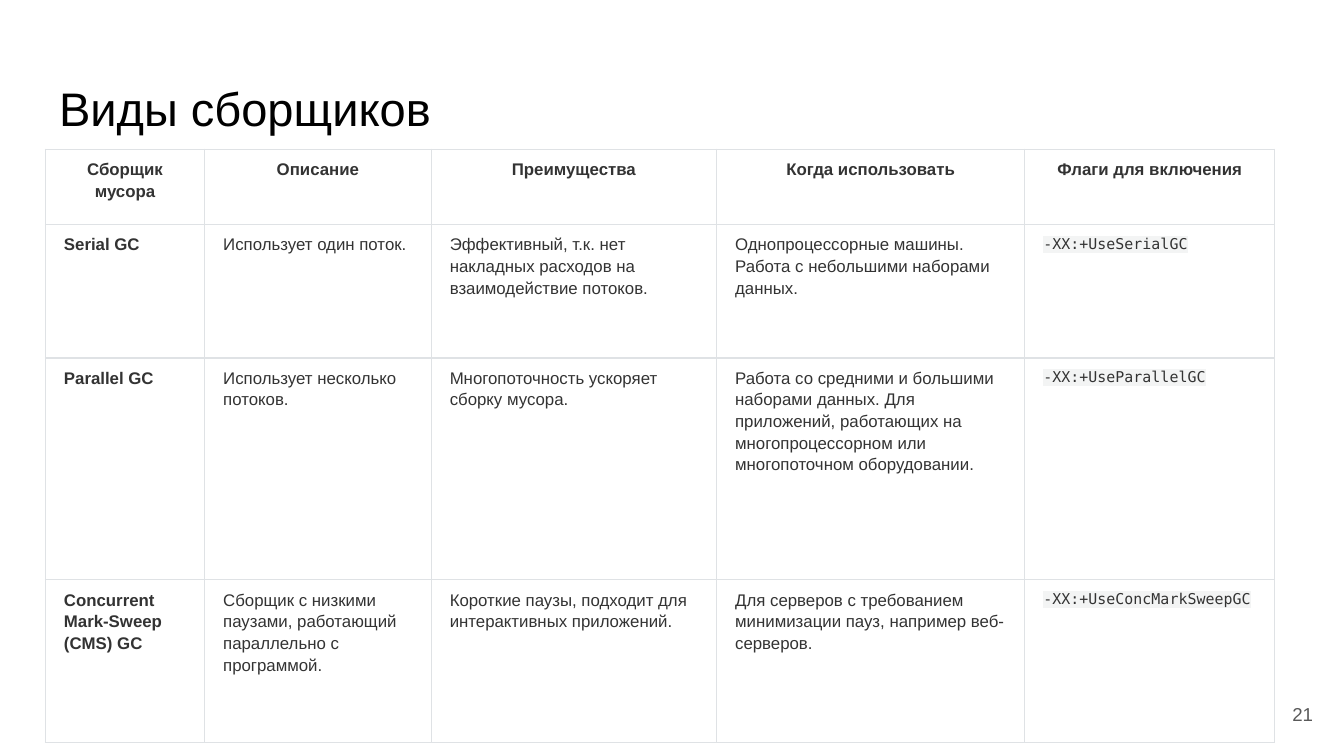
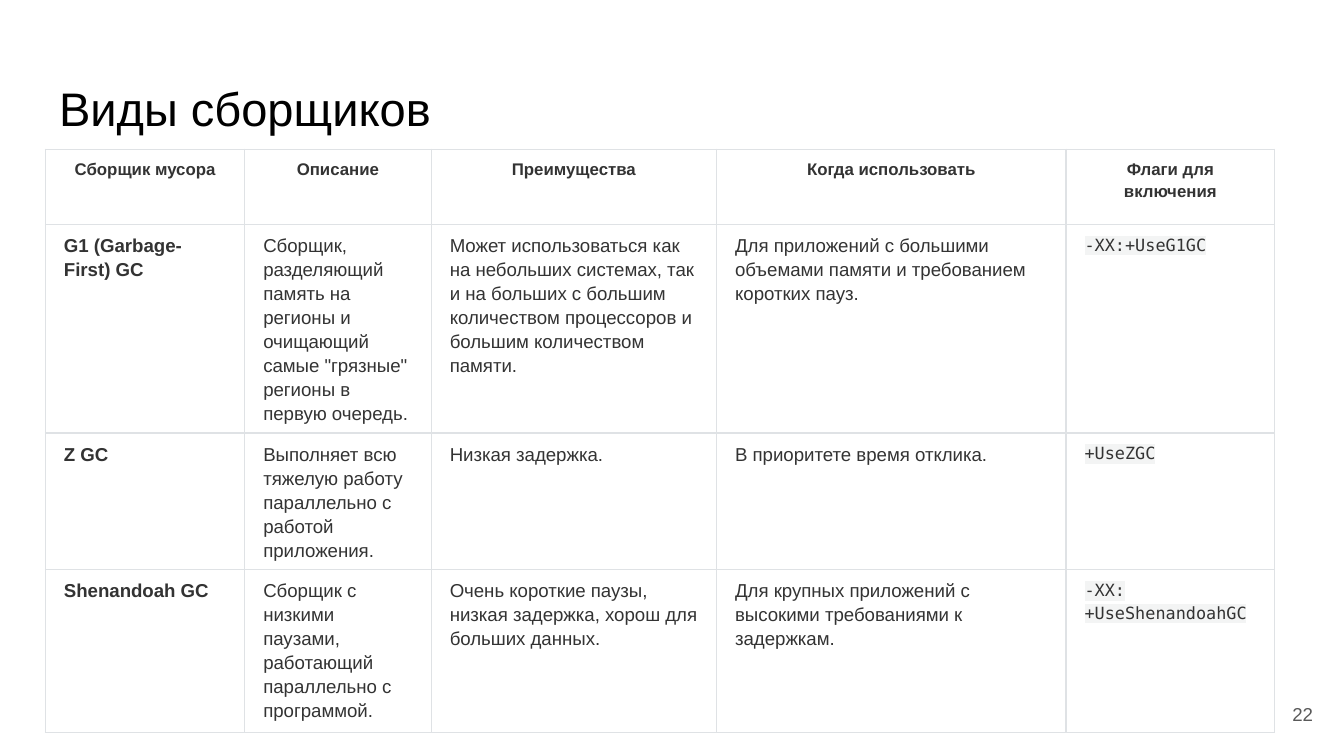
from lxml.etree import SubElement
from pptx import Presentation
from pptx.dml.color import RGBColor
from pptx.enum.text import MSO_ANCHOR, MSO_AUTO_SIZE, PP_ALIGN
from pptx.oxml import parse_xml
from pptx.oxml.ns import nsdecls, qn
from pptx.util import Pt

BLACK = RGBColor(0x00, 0x00, 0x00)
WHITE = RGBColor(0xFF, 0xFF, 0xFF)
TEXT_GRAY = RGBColor(0x33, 0x33, 0x33)
NUMBER_GRAY = RGBColor(0x59, 0x59, 0x59)
BORDER_GRAY = RGBColor(0xDF, 0xE2, 0xE5)
CODE_GRAY = RGBColor(0xF3, 0xF4, 0xF4)
TEXT_FONT = "Arial"
CODE_FONT = "DejaVu Sans Mono"

TITLE = "Виды сборщиков"
HEADER = ["Сборщик мусора", "Описание", "Преимущества", "Когда использовать", "Флаги для включения"]
CODE_COLUMN = len(HEADER) - 1

COLLECTOR_SLIDES = [
    {
        "number": "21",
        "text_size": 9,
        "widths": [85.3, 121.4, 152.9, 165.1, 133.9],
        "heights": [40.3, 71.5, 118.8, 87.1],
        "collectors": [
            ["Serial GC", "Использует один поток.",
             "Эффективный, т.к. нет накладных расходов на взаимодействие потоков.",
             "Однопроцессорные машины. Работа с небольшими наборами данных.",
             "-XX:+UseSerialGC"],
            ["Parallel GC", "Использует несколько потоков.",
             "Многопоточность ускоряет сборку мусора.",
             "Работа со средними и большими наборами данных. Для приложений, "
             "работающих на многопроцессорном или многопоточном оборудовании.",
             "-XX:+UseParallelGC"],
            ["Concurrent Mark-Sweep (CMS) GC",
             "Сборщик с низкими паузами, работающий параллельно с программой.",
             "Короткие паузы, подходит для интерактивных приложений.",
             "Для серверов с требованием минимизации пауз, например веб-серверов.",
             "-XX:+UseConcMarkSweepGC"],
        ],
    },
    {
        "number": "22",
        "text_size": 10,
        "widths": [106.8, 99.9, 152.9, 187.2, 111.8],
        "heights": [40.3, 92.9, 72.7, 87.1],
        "collectors": [
            ["G1 (Garbage-First) GC",
             "Сборщик, разделяющий память на регионы и очищающий самые "
             "\"грязные\" регионы в первую очередь.",
             "Может использоваться как на небольших системах, так и на больших "
             "с большим количеством процессоров и большим количеством памяти.",
             "Для приложений с большими объемами памяти и требованием коротких пауз.",
             "-XX:+UseG1GC"],
            ["Z GC", "Выполняет всю тяжелую работу параллельно с работой приложения.",
             "Низкая задержка.", "В приоритете время отклика.", "+UseZGC"],
            ["Shenandoah GC",
             "Сборщик с низкими паузами, работающий параллельно с программой.",
             "Очень короткие паузы, низкая задержка, хорош для больших данных.",
             "Для крупных приложений с высокими требованиями к задержкам.",
             "-XX:+UseShenandoahGC"],
        ],
    },
]


def write_text(text_holder, text, font_name, size, color, alignment, bold=False, highlight=None):
    text_holder.text_frame.text = text
    paragraph = text_holder.text_frame.paragraphs[0]
    paragraph.alignment = alignment
    run = paragraph.runs[0]
    run.font.size = Pt(size)
    run.font.bold = bold
    run.font.color.rgb = color
    run.font.name = font_name
    if highlight is not None:
        run.font.fill
        properties = run.font._element
        mark = SubElement(properties, qn("a:highlight"))
        SubElement(mark, qn("a:srgbClr")).set("val", str(highlight))
        properties.find(qn("a:solidFill")).addnext(mark)
    return paragraph


def style_cell(cell):
    cell.margin_left = cell.margin_right = Pt(10)
    cell.margin_top = cell.margin_bottom = Pt(4.5)
    cell.vertical_anchor = MSO_ANCHOR.TOP
    cell.fill.solid()
    cell.fill.fore_color.rgb = WHITE
    properties = cell._tc.get_or_add_tcPr()
    for index, side in enumerate(["lnL", "lnR", "lnT", "lnB"]):
        properties.insert(index, parse_xml(
            f'<a:{side} {nsdecls("a")} w="{Pt(0.75)}"><a:solidFill>'
            f'<a:srgbClr val="{BORDER_GRAY}"/></a:solidFill></a:{side}>'))


presentation = Presentation()
presentation.slide_width = Pt(720)
presentation.slide_height = Pt(405)
title_layout = presentation.slide_layouts.get_by_name("Title Only")

for content in COLLECTOR_SLIDES:
    slide = presentation.slides.add_slide(title_layout)
    slide.background.fill.solid()
    slide.background.fill.fore_color.rgb = WHITE

    title = slide.shapes.title
    title.left, title.top, title.width, title.height = Pt(24.5), Pt(35), Pt(671), Pt(45)
    write_text(title, TITLE, TEXT_FONT, 25.2, BLACK, PP_ALIGN.LEFT)
    number_box = slide.shapes.add_textbox(Pt(667.5), Pt(367), Pt(43), Pt(31))
    write_text(number_box, content["number"], TEXT_FONT, 10, NUMBER_GRAY, PP_ALIGN.RIGHT)
    for shape in [title, number_box]:
        frame = shape.text_frame
        frame.word_wrap = True
        frame.auto_size = MSO_AUTO_SIZE.NONE
        frame.vertical_anchor = MSO_ANCHOR.MIDDLE
        frame.margin_left = frame.margin_right = Pt(7.2)
        frame.margin_top = frame.margin_bottom = Pt(7.2)

    rows = [HEADER] + content["collectors"]
    widths, heights = content["widths"], content["heights"]
    table = slide.shapes.add_table(
        len(rows), len(HEADER), Pt(24.3), Pt(80), Pt(sum(widths)), Pt(sum(heights))).table
    table.first_row = False
    table.horz_banding = False
    for column, width in zip(table.columns, widths):
        column.width = Pt(width)
    for row, height in zip(table.rows, heights):
        row.height = Pt(height)

    for row_index, row in enumerate(rows):
        for column_index, text in enumerate(row):
            cell = table.cell(row_index, column_index)
            style_cell(cell)
            is_header = row_index == 0
            is_code = column_index == CODE_COLUMN and not is_header
            size = 9 if is_header else content["text_size"] - is_code
            paragraph = write_text(
                cell, text, CODE_FONT if is_code else TEXT_FONT, size, TEXT_GRAY,
                PP_ALIGN.CENTER if is_header else PP_ALIGN.LEFT,
                bold=is_header or column_index == 0,
                highlight=CODE_GRAY if is_code else WHITE)
            paragraph.line_spacing = 1.15

presentation.save("out.pptx")
